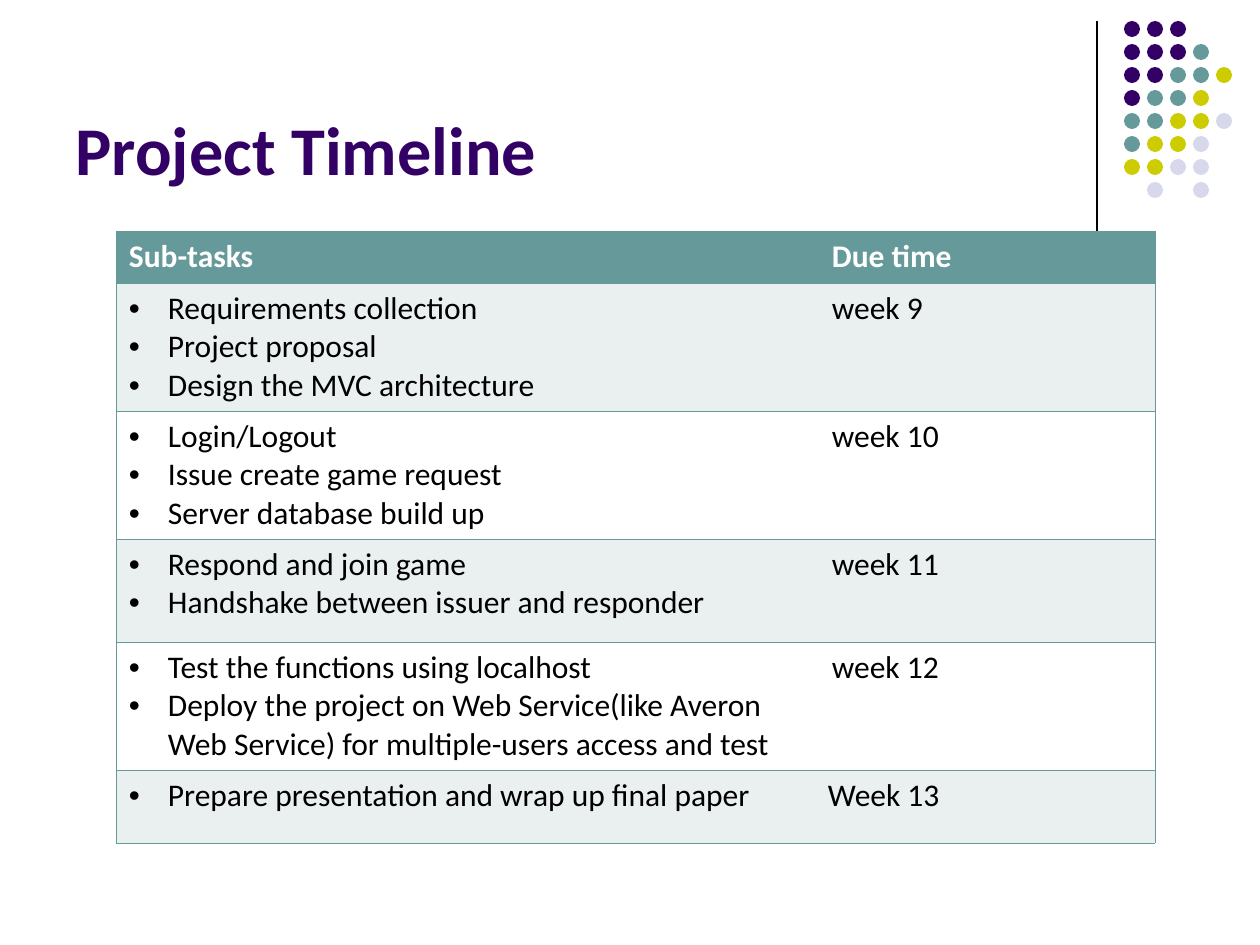
from lxml.etree import SubElement
from pptx import Presentation
from pptx.dml.color import RGBColor
from pptx.enum.shapes import MSO_CONNECTOR as Connector, MSO_SHAPE as Shape
from pptx.enum.text import MSO_ANCHOR as Anchor, MSO_AUTO_SIZE as AutoSize, PP_ALIGN as Align
from pptx.oxml import parse_xml
from pptx.oxml.ns import nsdecls, qn
from pptx.util import Emu, Pt

COLORS = {
    "purple": "330066", "teal": "669999", "lime": "CCCC00", "lavender": "D8D8EC",
    "band": "EAEFEF", "white": "FFFFFF", "black": "000000",
}
DOT_COLORS = {"P": "purple", "T": "teal", "L": "lime", "V": "lavender"}
DOT_ROWS = ["PPP", "PPPT", "PPTTL", "PTTL", "TTLLV", "TLLV", "LLVV", " V V"]
DOT_PITCH = 23
COLUMN_WIDTHS = [703, 336]
ROW_HEIGHTS = [52, 128, 128, 103, 128, 73]
TASKS = [
    (["Requirements collection", "Project proposal", "Design the MVC architecture"], "week 9"),
    (["Login/Logout", "Issue create game request", "Server database build up"], "week 10"),
    (["Respond and join game", "Handshake between issuer and responder"], "week 11"),
    (["Test the functions using localhost",
      "Deploy the project on Web Service(like Averon Web Service) for multiple-users access and test"],
     "week 12"),
    (["Prepare presentation and wrap up final paper"], "Week 13"),
]


def px(length):
    return Emu(round(length * 914400 / 126))


def rgb(name):
    return RGBColor.from_string(COLORS[name])


class SlideBuilder:
    """Holds the text style and the current slide."""

    def __init__(self, slide, font="Calibri"):
        self.slide = slide
        self.font = font

    def text(self, paragraph, text, color, **values):
        run = paragraph.add_run()
        run.text = text
        run.font.color.rgb = rgb(color)
        for name, value in {"name": self.font, "size": Pt(18), "bold": False, **values}.items():
            setattr(run.font, name, value)

    def title(self, text, left, top, width, height):
        title = self.slide.shapes.title
        title.left, title.top, title.width, title.height = map(px, (left, top, width, height))
        frame = title.text_frame
        values = {"vertical_anchor": Anchor.BOTTOM, "auto_size": AutoSize.NONE, "word_wrap": True}
        for name, value in values.items():
            setattr(frame, name, value)
        paragraph = frame.paragraphs[0]
        paragraph.alignment = Align.LEFT
        self.text(paragraph, text, "purple", size=Pt(39), bold=True)

    def line(self, *ends):
        line = self.slide.shapes.add_connector(Connector.STRAIGHT, *map(px, ends))
        line.line.color.rgb = rgb("black")
        line.line.width = Pt(0.75)
        SubElement(line._element.spPr, qn("a:effectLst"))

    def dot(self, left, top, color, size=16):
        dot = self.slide.shapes.add_shape(Shape.OVAL, *map(px, (left, top, size, size)))
        dot.shadow.inherit = False
        dot.fill.solid()
        dot.fill.fore_color.rgb = rgb(color)
        dot.line.fill.background()

    def table(self, left, top, widths, heights):
        box = map(px, (left, top, sum(widths), sum(heights)))
        table = self.slide.shapes.add_table(len(heights), len(widths), *box).table
        for column, width in zip(table.columns, widths):
            column.width = px(width)
        for row, height in zip(table.rows, heights):
            row.height = px(height)
        return table

    def cell(self, cell, lines, fill, color="black", bold=False, bullets=False, outer="L", inset=13):
        cell.margin_left = cell.margin_right = px(inset)
        cell.fill.solid()
        cell.fill.fore_color.rgb = rgb(fill)
        self.borders(cell, outer)
        frame = cell.text_frame
        for index, text in enumerate(lines):
            paragraph = frame.add_paragraph() if index else frame.paragraphs[0]
            if bullets:
                self.bullet(paragraph)
            self.text(paragraph, text, color, bold=bold)

    def borders(self, cell, outer):
        properties = cell._tc.get_or_add_tcPr()
        for index, side in enumerate("LRTB"):
            visible = side in outer + "TB"
            paint = f'<a:solidFill><a:srgbClr val="{COLORS["teal"]}"/></a:solidFill>'
            properties.insert(index, parse_xml(
                f'<a:ln{side} {nsdecls("a")} w="{Pt(0.45)}">'
                f'{paint if visible else "<a:noFill/>"}</a:ln{side}>'))

    def bullet(self, paragraph, indent=39):
        properties = paragraph._p.get_or_add_pPr()
        properties.set("marL", str(px(indent)))
        properties.set("indent", str(-px(indent)))
        color = SubElement(properties, qn("a:buClr"))
        SubElement(color, qn("a:srgbClr"), val=COLORS["black"])
        SubElement(properties, qn("a:buFont"), typeface="Arial")
        SubElement(properties, qn("a:buChar"), char="•")


def main():
    presentation = Presentation()
    presentation.slide_width, presentation.slide_height = px(1260), px(945)
    builder = SlideBuilder(presentation.slides.add_slide(presentation.slide_layouts[5]))

    builder.line(1097, 21, 1097, 231)
    for row, marks in enumerate(DOT_ROWS):
        for column, mark in enumerate(marks):
            if mark in DOT_COLORS:
                builder.dot(1124 + column * DOT_PITCH, 21 + row * DOT_PITCH, DOT_COLORS[mark])
    builder.title("Project Timeline", 63, 16, 1040, 179)

    table = builder.table(116, 231, COLUMN_WIDTHS, ROW_HEIGHTS)
    for column, (heading, outer) in enumerate([("Sub-tasks", "L"), ("Due time", "R")]):
        builder.cell(table.cell(0, column), [heading], "teal", "white", bold=True, outer=outer)
    for row, (tasks, due) in enumerate(TASKS, 1):
        fill = "band" if row % 2 else "white"
        builder.cell(table.cell(row, 0), tasks, fill, bullets=True)
        builder.cell(table.cell(row, 1), [due], fill, outer="R", inset=9 if row == len(TASKS) else 13)

    presentation.save("out.pptx")


if __name__ == "__main__":
    main()
